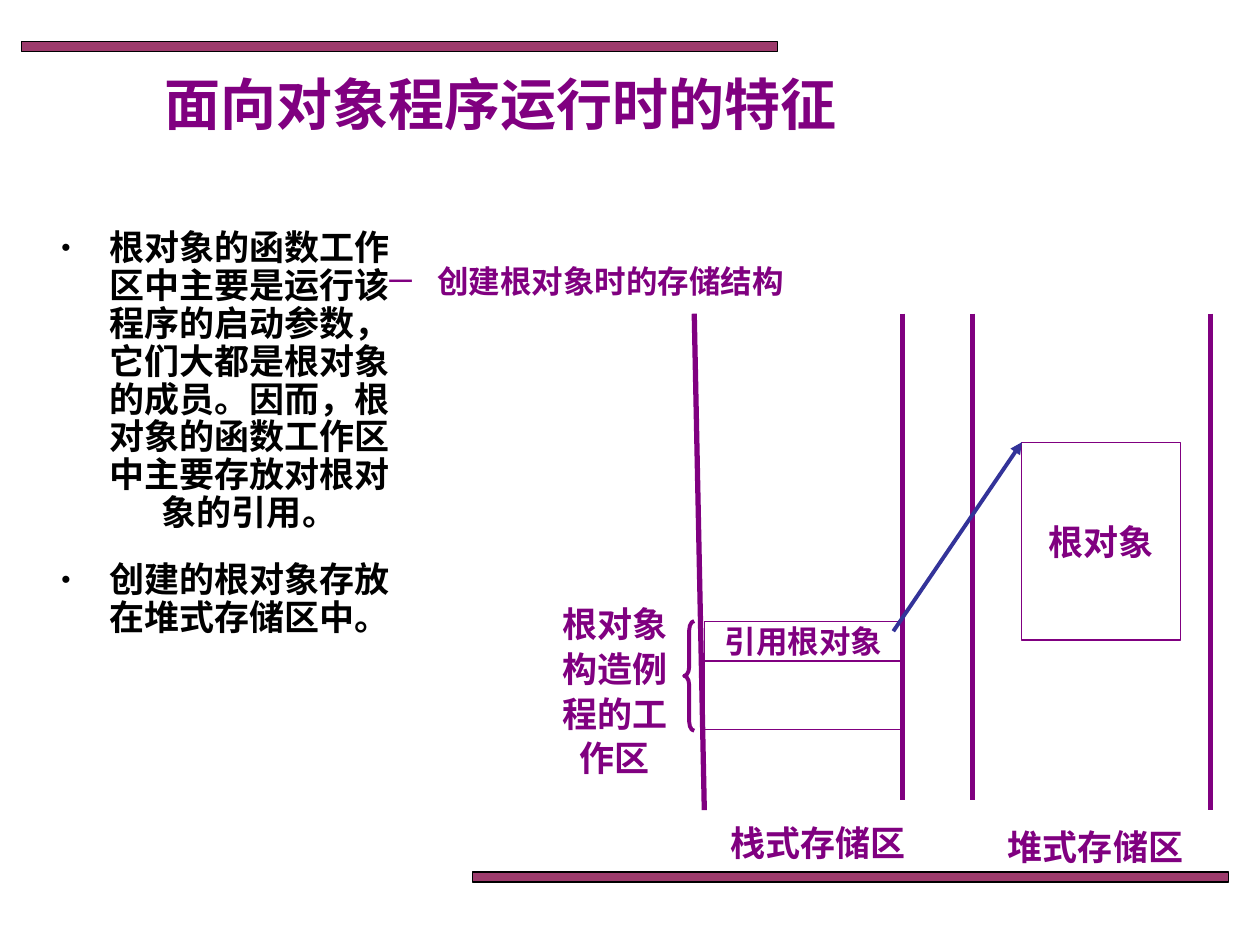
import pptx
import pptx.dml.color
import pptx.enum.shapes
import pptx.enum.text
import pptx.oxml.ns
import pptx.util
from lxml import etree

Inches = pptx.util.Inches
Pt = pptx.util.Pt
RGBColor = pptx.dml.color.RGBColor
SHAPE = pptx.enum.shapes.MSO_SHAPE
ANCHOR = pptx.enum.text.MSO_ANCHOR
CENTER = pptx.enum.text.PP_ALIGN.CENTER

PURPLE = RGBColor(0x80, 0x00, 0x80)
PLUM = RGBColor(0x99, 0x33, 0x66)
NAVY = RGBColor(0x33, 0x33, 0x99)
BLACK = RGBColor(0, 0, 0)
SERIF = "Times New Roman"
SANS = "Arial"
CJK = "Noto Sans CJK SC"


def add_xml(parent, tag, **attributes):
    return etree.SubElement(parent, pptx.oxml.ns.qn(tag), attributes)


def place(shape, left, top, width, height):
    shape.left, shape.top = Inches(left), Inches(top)
    shape.width, shape.height = Inches(width), Inches(height)


def write(para, text, size, font, color=PURPLE):
    """Add one bold, centred run; the CJK font draws the Chinese characters."""
    para.alignment = CENTER
    span = para.add_run()
    span.text = text
    span.font.size = Pt(size)
    span.font.bold = True
    span.font.name = font
    span.font.color.rgb = color
    add_xml(span.font._element, "a:ea", typeface=CJK)


def fill_lines(frame, lines, size, font, color=PURPLE, gap=4):
    """Write tightly set paragraphs with a gap in points between them."""
    for index, line in enumerate(lines):
        para = frame.paragraphs[0] if index == 0 else frame.add_paragraph()
        para.line_spacing = 0.9
        if index:
            para.space_before = Pt(gap)
        write(para, line, size, font, color)


def add_label(slide, area, lines):
    box = slide.shapes.add_textbox(*map(Inches, area))
    box.text_frame.word_wrap = True
    fill_lines(box.text_frame, lines, 20, SANS)


def add_outline(slide, kind, area, weight=0.75, color=PURPLE):
    shape = slide.shapes.add_shape(kind, *map(Inches, area))
    shape.shadow.inherit = False
    shape.fill.background()
    shape.line.color.rgb = color
    shape.line.width = Pt(weight)
    return shape


def add_block(slide, area, text, size, font):
    block = add_outline(slide, SHAPE.RECTANGLE, area)
    frame = block.text_frame
    frame.word_wrap = False
    frame.vertical_anchor = ANCHOR.MIDDLE
    write(frame.paragraphs[0], text, size, font)


def add_bar(slide, left, top):
    bar = add_outline(slide, SHAPE.RECTANGLE, (left, top, 6, 0.08), color=BLACK)
    bar.fill.solid()
    bar.fill.fore_color.rgb = PLUM
    color = bar._element.spPr.find(".//" + pptx.oxml.ns.qn("a:srgbClr"))
    add_xml(color, "a:alpha", val="96000")


def add_line(slide, start, end, color=PURPLE, weight=3, arrow=False):
    line = slide.shapes.add_connector(
        pptx.enum.shapes.MSO_CONNECTOR.STRAIGHT, *map(Inches, start + end))
    line.line.color.rgb = color
    line.line.width = Pt(weight)
    if arrow:
        add_xml(line.line._get_or_add_ln(), "a:tailEnd", type="triangle")
    add_xml(line._element.spPr, "a:effectLst")


def fill_title(title, text):
    place(title, 0.47, 0.5, 7.01, 0.63)
    title.text_frame.vertical_anchor = ANCHOR.MIDDLE
    write(title.text_frame.paragraphs[0], text, 32, SANS)


def fill_body(body, lines):
    place(body, 0.37, 1.78, 2.84, 4.02)
    frame = body.text_frame
    frame.auto_size = pptx.enum.text.MSO_AUTO_SIZE.NONE
    fill_lines(frame, lines, 20, CJK, BLACK, gap=17)
    for para in frame.paragraphs:
        properties = para._p.get_or_add_pPr()
        properties.set("marL", str(Inches(0.38)))
        properties.set("indent", str(-Inches(0.38)))
        add_xml(properties, "a:buSzPct", val="75000")
        add_xml(properties, "a:buFont", typeface=SANS)
        add_xml(properties, "a:buChar", char="•")


def add_caption(slide, text):
    """Add the diagram heading with its large dash bullet."""
    box = slide.shapes.add_textbox(*map(Inches, (1.14, 1.86, 7.01, 0.57)))
    box.text_frame.word_wrap = True
    box.text_frame.vertical_anchor = ANCHOR.BOTTOM
    para = box.text_frame.paragraphs[0]
    write(para, text, 18, SANS)
    properties = para._p.get_or_add_pPr()
    properties.set("marL", str(Inches(0.4)))
    properties.set("indent", str(-Inches(0.4)))
    add_xml(properties, "a:buSzPct", val="155000")
    add_xml(properties, "a:buFont", typeface=SERIF)
    add_xml(properties, "a:buChar", char="−")


def add_storage_diagram(slide):
    top = 2.49
    for top_x, bottom_x, bottom in ((5.51, 5.59, 6.43), (7.16, 7.16, 6.35),
                                    (7.72, 7.72, 6.35), (9.61, 9.61, 6.43)):
        add_line(slide, (top_x, top), (bottom_x, bottom))
    add_label(slide, (5.59, 6.51, 1.81, 0.44), ["栈式存储区"])
    add_label(slide, (7.87, 6.54, 1.65, 0.44), ["堆式存储区"])

    add_label(slide, (4.25, 4.77, 1.26, 1.42),
              ["根对象", "构造例", "程的工", "作区"])
    brace = add_outline(slide, SHAPE.LEFT_BRACE, (5.43, 4.93, 0.08, 0.87), 2.25)
    brace.adjustments[0] = 0.9
    add_block(slide, (5.59, 4.93, 1.57, 0.32), "引用根对象", 18, SERIF)
    add_outline(slide, SHAPE.RECTANGLE, (5.59, 5.24, 1.58, 0.55))

    add_block(slide, (8.11, 3.51, 1.26, 1.57), "根对象", 20, CJK)
    add_line(slide, (7.09, 5.01), (8.11, 3.51), NAVY, 2.25, arrow=True)


def main():
    deck = pptx.Presentation()
    deck.slide_width, deck.slide_height = Inches(10), Inches(7.5)
    slide = deck.slides.add_slide(deck.slide_layouts[1])
    add_bar(slide, 0.17, 0.33)
    add_bar(slide, 3.75, 6.92)
    fill_title(slide.shapes.title, "面向对象程序运行时的特征")
    fill_body(slide.placeholders[1], [
        "根对象的函数工作区中主要是运行该程序的启动参数，它们大都是根对象的成员。"
        "因而，根对象的函数工作区中主要存放对根对象的引用。",
        "创建的根对象存放在堆式存储区中。",
    ])
    add_caption(slide, "创建根对象时的存储结构")
    add_storage_diagram(slide)
    deck.save("out.pptx")


if __name__ == "__main__":
    main()
